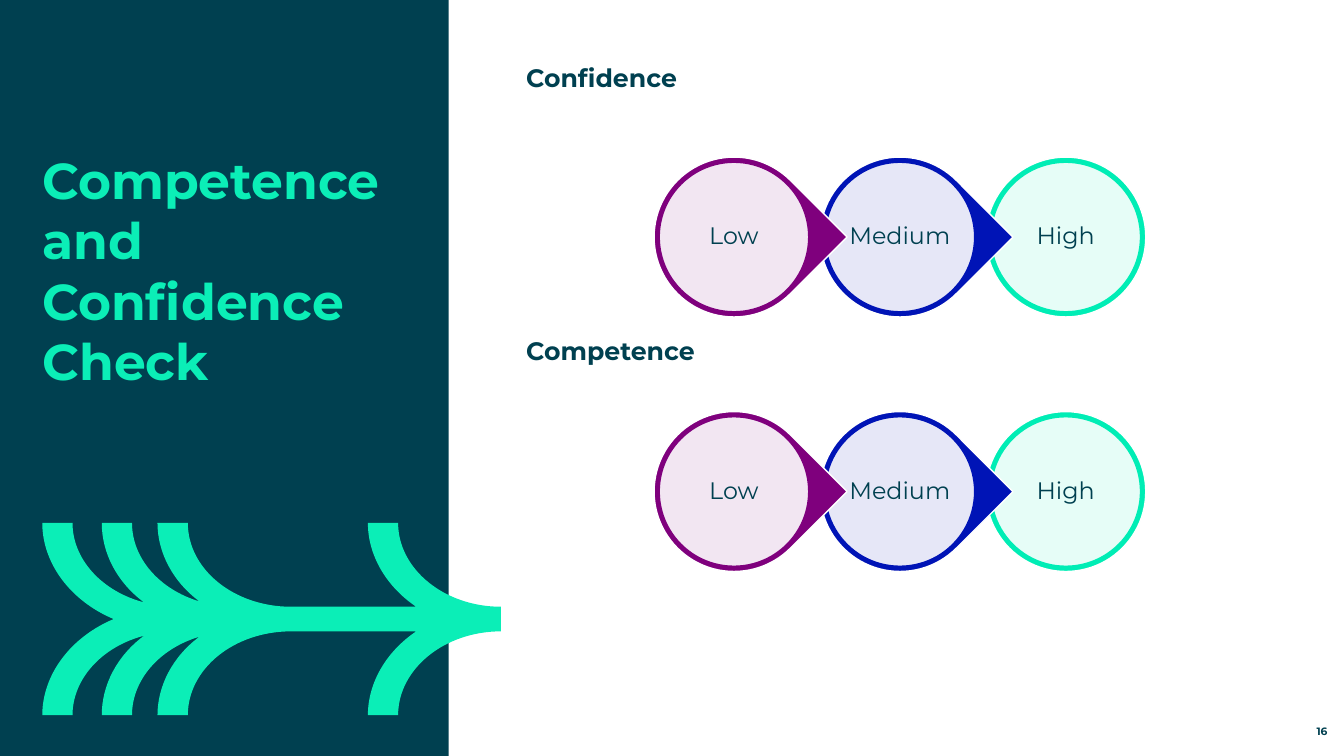
import dataclasses

import pptx
import pptx.dml.color
import pptx.enum.shapes
import pptx.enum.text
import pptx.oxml.ns
import pptx.util
from lxml import etree

Pt = pptx.util.Pt
qn = pptx.oxml.ns.qn
RGB = pptx.dml.color.RGBColor.from_string
MSO_SHAPE = pptx.enum.shapes.MSO_SHAPE
ALIGN = pptx.enum.text.PP_ALIGN
ANCHOR = pptx.enum.text.MSO_ANCHOR


@dataclasses.dataclass(frozen=True)
class Theme:
    font: str = "Montserrat"
    dark: str = "004050"
    mint: str = "0BEEB7"
    white: str = "FFFFFF"
    low: str = "7F007D"
    medium: str = "0014B6"
    high: str = "00EDB5"
    title_size: float = 36
    heading_size: float = 18
    level_size: float = 17
    number_size: float = 7.6


THEME = Theme()
LEVELS = [("Low", THEME.low), ("Medium", THEME.medium), ("High", THEME.high)]

# Upper half of the arrow: x from its left edge, y from its centre line.
# A segment of one point is a line, one of three points a cubic curve.
ARROW_START = (51, 0)
ARROW_HALF = [
    [(20, -13), (0, -40), (0, -68.7)],
    [(21.6, -68.7)],
    [(21.6, -42.8), (42.5, -19.8), (72.7, -11.9)],
    [(53.3, -26.3), (42.5, -47.2), (42.5, -68.7)],
    [(64.1, -68.7)],
    [(64.1, -43.6), (83.5, -21.2), (112.3, -12.6)],
    [(92.9, -27), (82.3, -47.9), (82.3, -68.7)],
    [(104, -68.7)],
    [(104, -35.6), (136.8, -8.8), (177.8, -8.8)],
    [(267.1, -8.8)],
    [(245.5, -23.4), (232.6, -45.7), (232.6, -68.7)],
    [(254.2, -68.7)],
    [(254.2, -35.6), (287.3, -8.8), (327.6, -8.8)],
]


def write_text(tf, lines, size, color=THEME.dark, bold=False, align=ALIGN.LEFT,
               anchor=ANCHOR.TOP, wrap=True, inset=0, spacing=None, gap=0):
    """Fill a text frame; gap is the space before each later paragraph."""
    tf.word_wrap = wrap
    tf.vertical_anchor = anchor
    tf.margin_left = tf.margin_right = tf.margin_top = tf.margin_bottom = Pt(inset)
    for i, line in enumerate(lines):
        p = tf.add_paragraph() if i else tf.paragraphs[0]
        p.alignment = align
        if spacing:
            p.line_spacing = spacing
        if i:
            p.space_before = Pt(gap)
        r = p.add_run()
        r.text = line
        r.font.name = THEME.font
        r.font.size = Pt(size)
        r.font.bold = bold
        r.font.color.rgb = RGB(color)


def add_text(shapes, box, lines, size, **fmt):
    sp = shapes.add_textbox(*map(Pt, box))
    write_text(sp.text_frame, lines, size, **fmt)


def style(sp, fill, line=None, alpha=None):
    sp.shadow.inherit = False
    sp.fill.solid()
    sp.fill.fore_color.rgb = RGB(fill)
    if alpha is not None:
        color = sp._element.spPr.find(qn("a:solidFill")).find(qn("a:srgbClr"))
        etree.SubElement(color, qn("a:alpha")).set("val", str(alpha * 1000))
    if line:
        sp.line.color.rgb = RGB(line)
        sp.line.width = Pt(1)
    else:
        sp.line.fill.background()


def add_shape(shapes, kind, box, fill, **fmt):
    sp = shapes.add_shape(kind, *map(Pt, box))
    style(sp, fill, **fmt)
    return sp


def mirror(start, segments):
    """Walk the segments backwards, flipped over the centre line."""
    starts = [start] + [seg[-1] for seg in segments[:-1]]
    return [[(x, -y) for x, y in seg[-2::-1] + [begin]]
            for begin, seg in reversed(list(zip(starts, segments)))]


def add_arrow(shapes, left, middle):
    def place(point):
        return Pt(left + point[0]), Pt(middle + point[1])

    tail_x, tail_y = ARROW_HALF[-1][-1]
    outline = ARROW_HALF + [[(tail_x, -tail_y)]] + mirror(ARROW_START, ARROW_HALF)
    fb = shapes.build_freeform(*place(ARROW_START), scale=1.0)
    fb.add_line_segments([place(seg[-1]) for seg in outline], close=True)
    sp = fb.convert_to_shape()
    style(sp, THEME.mint)

    lines = list(sp._element.iter(qn("a:lnTo")))
    for line, seg in zip(lines, outline):
        if len(seg) == 1:
            continue
        curve = etree.Element(qn("a:cubicBezTo"))
        for x, y in map(place, seg):
            pt = etree.SubElement(curve, qn("a:pt"))
            pt.set("x", str(x - sp.left))
            pt.set("y", str(y - sp.top))
        line.getparent().replace(line, curve)


def add_title_panel(shapes, left, top, width, height):
    add_shape(shapes, MSO_SHAPE.RECTANGLE, (left, top, width, height), THEME.dark)
    add_arrow(shapes, left + 30.2, top + 442.2)
    add_text(shapes, (left + 30.2, top + 106.3, 271.4, 216.7),
             ["Competence and Confidence Check"], THEME.title_size,
             color=THEME.mint, bold=True)


def add_level_chain(shapes, left, top, size=114.2, pitch=118.5, rim=3.7):
    """Overlapping circles, each but the last pointing to the next."""
    group = shapes.add_group_shape().shapes
    inner = size - 2 * rim
    label_inset, label_size = 19, 76.2
    for i, (label, color) in reversed(list(enumerate(LEVELS))):
        x = left + i * pitch
        last = i == len(LEVELS) - 1
        kind = MSO_SHAPE.OVAL if last else MSO_SHAPE.TEAR
        sp = add_shape(group, kind, (x, top, size, size), color, line=THEME.white)
        sp.rotation = 0 if last else 45
        add_shape(group, MSO_SHAPE.OVAL, (x + rim, top + rim, inner, inner),
                  THEME.white, line=color, alpha=90)
        add_text(group, (x + label_inset, top + label_inset, label_size, label_size),
                 [label], THEME.level_size, align=ALIGN.CENTER,
                 anchor=ANCHOR.MIDDLE, inset=1.4, spacing=0.9)


def add_ratings(shapes, left, top, width, height):
    add_text(shapes, (left, top, width, height), ["Confidence", "Competence"],
             THEME.heading_size, bold=True, gap=173)
    for row in range(2):
        add_level_chain(shapes, left + 91.4, top + 67.6 + row * 181.8)


def main():
    prs = pptx.Presentation()
    prs.slide_width, prs.slide_height = Pt(960), Pt(540)
    s = prs.slides.add_slide(prs.slide_layouts[6])
    add_title_panel(s.shapes, 0, 0, 320.4, 540)
    add_ratings(s.shapes, 375.8, 44.6, 540.7, 468)
    add_text(s.shapes, (886.3, 512.6, 61.9, 14.4), ["16"], THEME.number_size,
             bold=True, align=ALIGN.RIGHT, anchor=ANCHOR.BOTTOM)
    prs.save("out.pptx")


if __name__ == "__main__":
    main()
